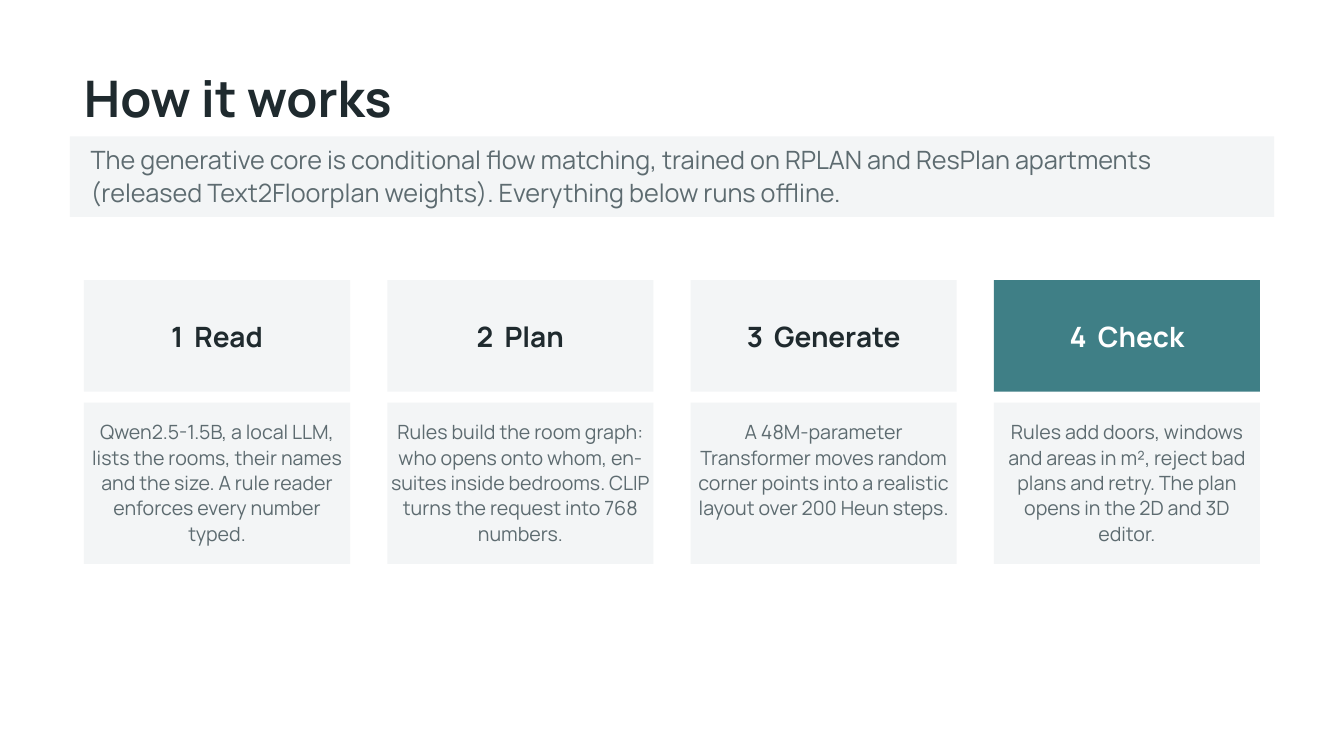
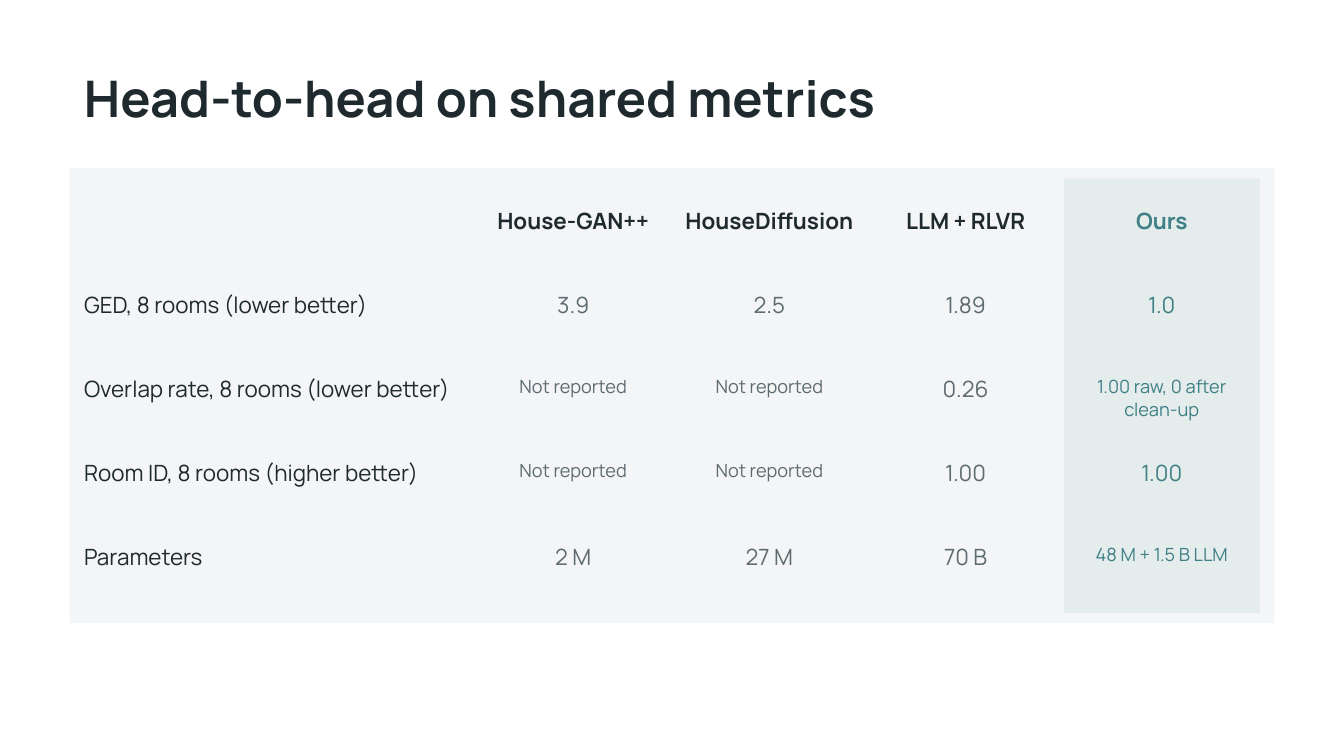
from pptx import Presentation
from pptx.dml.color import RGBColor
from pptx.enum.shapes import MSO_SHAPE
from pptx.enum.text import MSO_ANCHOR, PP_ALIGN
from pptx.util import Inches, Pt

RECTANGLE = MSO_SHAPE.RECTANGLE
TOP, MIDDLE = MSO_ANCHOR.TOP, MSO_ANCHOR.MIDDLE
LEFT, CENTER = PP_ALIGN.LEFT, PP_ALIGN.CENTER

# Shared style
FONT = "Manrope"
INK, MUTED, TEAL, WHITE = "1F2A2E", "5D6B70", "3F7F86", "FFFFFF"
PANEL, HIGHLIGHT = "F3F5F6", "E4ECEC"
MARGIN, CONTENT_WIDTH = 1.25, 17.5
BAND_LEFT, BAND_WIDTH = 1.04, 17.92
PLAIN_TABLE_STYLE = "{2D5ABB26-0587-4C30-8999-92F81FD0307C}"


def add_panel(page, left, top, width, height, color=PANEL):
    panel = page.shapes.add_shape(
        RECTANGLE, Inches(left), Inches(top), Inches(width), Inches(height))
    panel.shadow.inherit = False
    panel.fill.solid()
    panel.fill.fore_color.rgb = RGBColor.from_string(color)
    panel.line.fill.background()
    return panel


def write(box, text, size, color, bold=False, align=LEFT, anchor=TOP,
          leading=1.3, margins=(0, 0, 0, 0)):
    """Fill a shape or a table cell; margins are left, top, right, bottom."""
    frame = box.text_frame
    frame.word_wrap = True
    # A cell keeps margins and anchor itself, a shape keeps them in its frame
    holder = box if hasattr(box, "margin_left") else frame
    holder.margin_left, holder.margin_top, holder.margin_right, holder.margin_bottom = (
        Inches(margin) for margin in margins)
    holder.vertical_anchor = anchor
    para = frame.paragraphs[0]
    para.alignment = align
    para.line_spacing = Pt(round(size * leading, 1))
    span = para.add_run()
    span.text = text
    span.font.name = FONT
    span.font.size = Pt(size)
    span.font.bold = bold
    span.font.color.rgb = RGBColor.from_string(color)


deck = Presentation()
deck.slide_width, deck.slide_height = Inches(20), Inches(11.25)

# Pages with their titles
pages = []
for title in ("How it works", "Head-to-head on shared metrics"):
    page = deck.slides.add_slide(deck.slide_layouts[6])
    box = page.shapes.add_textbox(
        Inches(MARGIN), Inches(0.92), Inches(CONTENT_WIDTH), Inches(1.02))
    write(box, title, 54, INK, bold=True)
    pages.append(page)
steps_page, metrics_page = pages

# Introduction band
band = add_panel(steps_page, BAND_LEFT, 2.03, BAND_WIDTH, 1.2)
write(band, "The generative core is conditional flow matching, trained on RPLAN and "
      "ResPlan apartments (released Text2Floorplan weights). Everything below runs offline.",
      27, MUTED, margins=(0.31, 0.08, 0.31, 0))

# Four steps, the last one highlighted
steps = [
    ("1  Read", "Qwen2.5-1.5B, a local LLM, lists the rooms, their names and the size. "
                "A rule reader enforces every number typed."),
    ("2  Plan", "Rules build the room graph: who opens onto whom, en-suites inside "
                "bedrooms. CLIP turns the request into 768 numbers."),
    ("3  Generate", "A 48M-parameter Transformer moves random corner points into a "
                    "realistic layout over 200 Heun steps."),
    ("4  Check", "Rules add doors, windows and areas in m², reject bad plans and retry. "
                 "The plan opens in the 2D and 3D editor."),
]
step_width = 3.96
step_pitch = (CONTENT_WIDTH - step_width) / (len(steps) - 1)
for index, (name, description) in enumerate(steps):
    left = MARGIN + index * step_pitch
    is_last = index == len(steps) - 1
    heading = add_panel(steps_page, left, 4.17, step_width, 1.66, TEAL if is_last else PANEL)
    write(heading, name, 30, WHITE if is_last else INK, bold=True, align=CENTER,
          anchor=MIDDLE, leading=1.4, margins=(0.06, 0, 0.06, 0.08))
    detail = add_panel(steps_page, left, 5.99, step_width, 2.4)
    write(detail, description, 21, MUTED, align=CENTER, margins=(0, 0.23, 0, 0))

# Metrics table on its panel, with the last column highlighted
metrics = [
    ("", "House-GAN++", "HouseDiffusion", "LLM + RLVR", "Ours"),
    ("GED, 8 rooms (lower better)", "3.9", "2.5", "1.89", "1.0"),
    ("Overlap rate, 8 rooms (lower better)", "Not reported", "Not reported", "0.26",
     "1.00 raw, 0 after clean-up"),
    ("Room ID, 8 rooms (higher better)", "Not reported", "Not reported", "1.00", "1.00"),
    ("Parameters", "2 M", "27 M", "70 B", "48 M + 1.5 B LLM"),
]
table_top = 2.66
column_widths = [5.82] + [2.92] * 4
row_heights = [1.25] * 4 + [1.46]
add_panel(metrics_page, BAND_LEFT, 2.5, BAND_WIDTH, 6.77)
add_panel(metrics_page, MARGIN + sum(column_widths[:-1]), table_top,
          column_widths[-1], sum(row_heights), HIGHLIGHT)
table = metrics_page.shapes.add_table(
    len(metrics), len(column_widths), Inches(MARGIN), Inches(table_top),
    Inches(sum(column_widths)), Inches(sum(row_heights))).table
table.first_row = table.horz_banding = False
table._tbl.tblPr.find("{*}tableStyleId").text = PLAIN_TABLE_STYLE
for column, width in zip(table.columns, column_widths):
    column.width = Inches(width)
for row, height in zip(table.rows, row_heights):
    row.height = Inches(height)

for row_index, values in enumerate(metrics):
    for column_index, value in enumerate(values):
        cell = table.cell(row_index, column_index)
        cell.fill.background()
        is_header, is_label = row_index == 0, column_index == 0
        is_ours = column_index == len(values) - 1
        is_long = not is_header and not is_label and len(value) > 10
        color = TEAL if is_ours else INK if is_header or is_label else MUTED
        side = 0 if is_label else 0.1
        write(cell, value, 19.5 if is_long else 24, color, bold=is_header,
              align=LEFT if is_label else CENTER, margins=(side, 0.42, side, 0))

deck.save("out.pptx")
